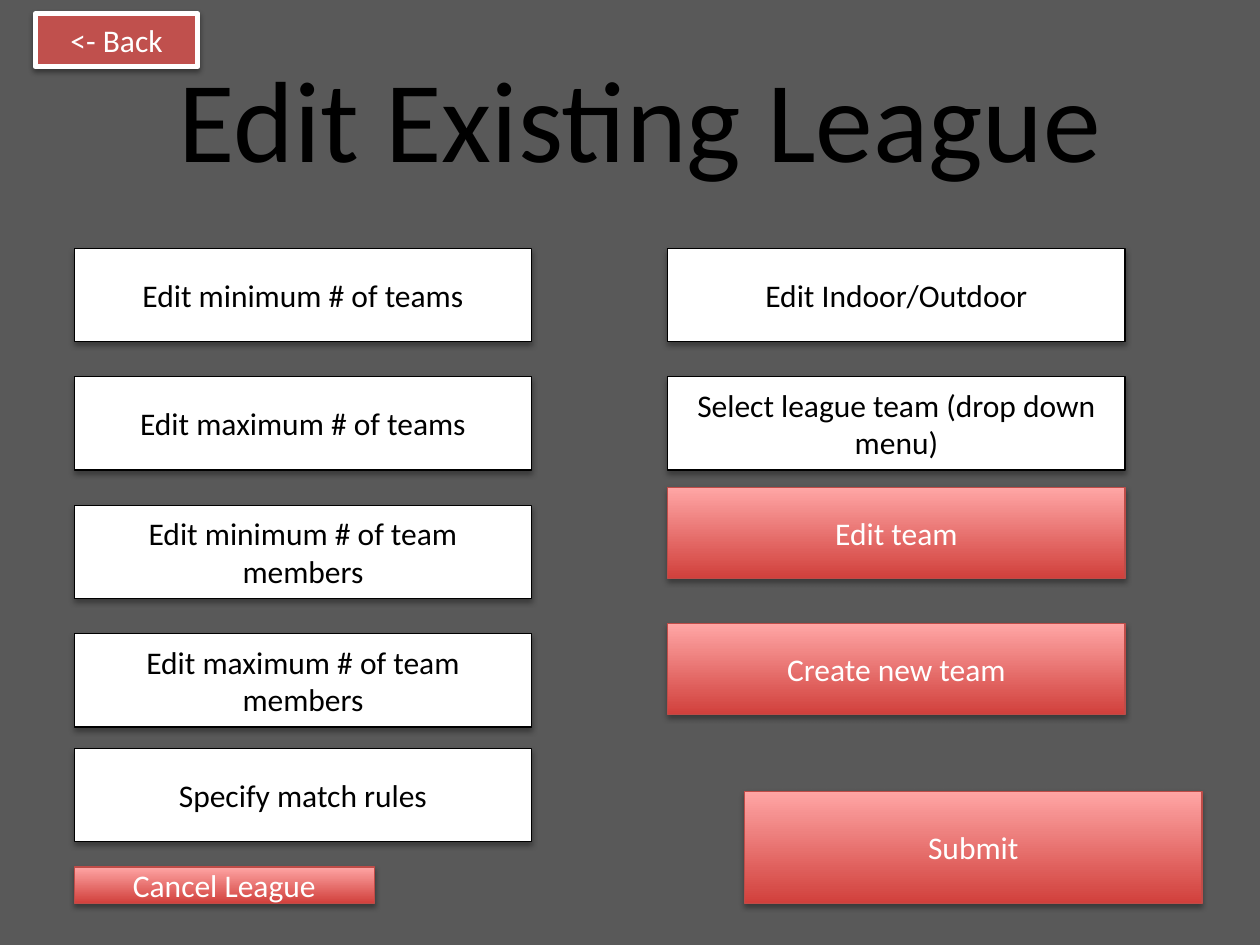
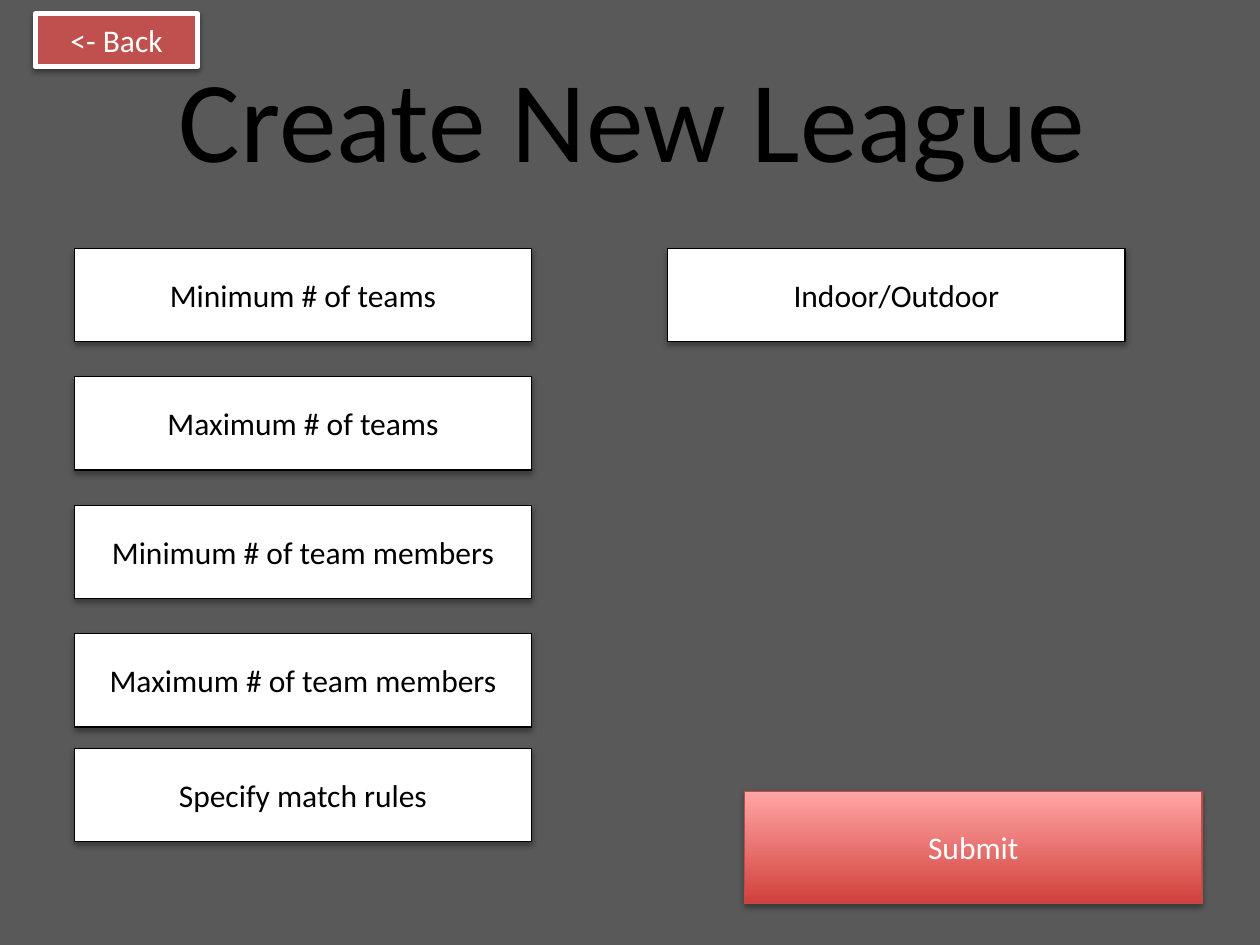
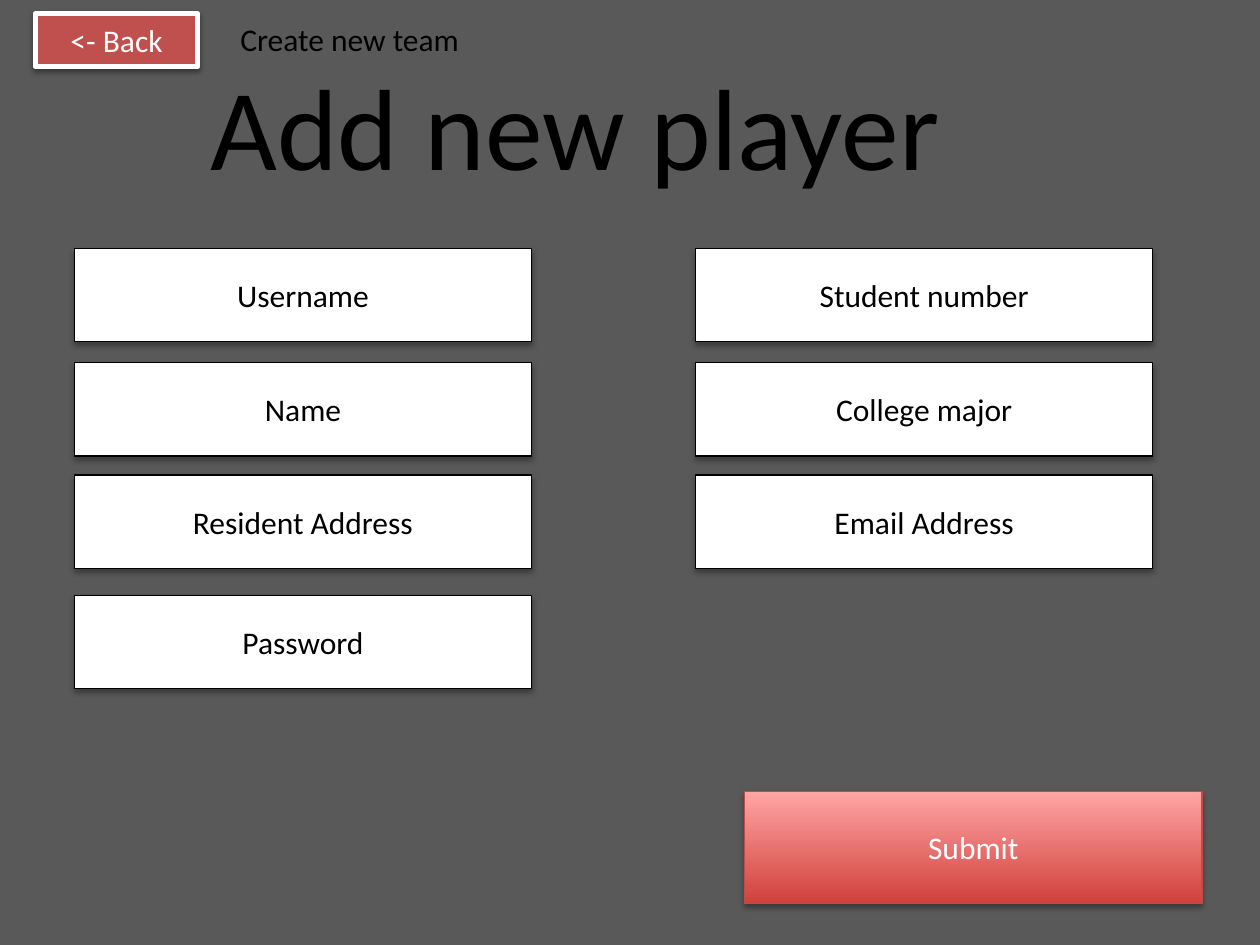
from lxml import etree
from pptx import Presentation, util as u
from pptx.dml.color import RGBColor
from pptx.enum import shapes, text
from pptx.oxml.ns import qn

GREY = RGBColor(0x59, 0x59, 0x59)
WHITE = RGBColor(0xFF, 0xFF, 0xFF)
BLACK = RGBColor(0x00, 0x00, 0x00)
BRICK = RGBColor(0xC0, 0x50, 0x4D)
RED_EDGE = RGBColor(0xBF, 0x4C, 0x48)
RED_DARK = RGBColor(0xD1, 0x40, 0x3C)
RED_LIGHT = RGBColor(0xFF, 0xA6, 0xA5)

# The slide is a grid of square cells: 10 columns by 7.5 rows.
COLS, ROWS = 10, 7.5
CELL = u.Inches(1)
LEFT, RIGHT, FAR_RIGHT = 0.59, 5.3, 5.52
FIELD_TOP, FIELD_W, FIELD_H = 1.97, 3.63, 0.74
BUTTON_H = 0.72


class Screen:
    """Holds the style and the slide being drawn."""

    font = "Calibri"
    title_size, body_size = u.Pt(66), u.Pt(18)

    def __init__(self):
        """Start the deck with its size and shared background."""
        self.prs = Presentation()
        self.prs.slide_width = int(COLS * CELL)
        self.prs.slide_height = int(ROWS * CELL)
        fill = self.prs.slide_master.background.fill
        fill.solid()
        fill.fore_color.rgb = GREY
        self.s = None

    def cells(self, *lengths):
        """Turn grid lengths into slide lengths."""
        return [int(n * CELL) for n in lengths]

    def set_text(self, sp, words, size, color, align):
        """Put one formatted paragraph in a shape."""
        tf = sp.text_frame
        tf.text = words
        p = tf.paragraphs[0]
        p.alignment = align
        p.font.name, p.font.size, p.font.color.rgb = self.font, size, color
        return tf

    def start(self, title, x=1.32, y=0.32, w=7.61):
        """Add a slide with its title and the two buttons all screens have."""
        self.s = self.prs.slides.add_slide(self.prs.slide_layouts[5])
        sp = self.s.shapes.title
        sp.left, sp.top, sp.width, sp.height = self.cells(x, y, w, 1.21)
        tf = self.set_text(sp, title, self.title_size, BLACK, text.PP_ALIGN.LEFT)
        tf.vertical_anchor = text.MSO_ANCHOR.TOP
        tf.word_wrap = True
        tf.auto_size = text.MSO_AUTO_SIZE.SHAPE_TO_FIT_TEXT
        self.button("Submit", 5.91, 6.28, h=0.89)
        self.back()

    def box(self, words, x, y, w, h, color, edge, weight=0.75, drop=1.8, alpha=35):
        """Add a shadowed rectangle with centred text."""
        sp = self.s.shapes.add_shape(shapes.MSO_SHAPE.RECTANGLE, *self.cells(x, y, w, h))
        sp.line.color.rgb, sp.line.width = edge, u.Pt(weight)
        tf = self.set_text(sp, words, self.body_size, color, text.PP_ALIGN.CENTER)
        tf.word_wrap = True
        tf.vertical_anchor = text.MSO_ANCHOR.MIDDLE
        self.shade(sp, drop, alpha)
        return sp

    def shade(self, sp, drop, alpha):
        """Give a shape a soft black shadow straight below it."""
        sp.shadow.inherit = False
        effects = sp._element.spPr.find(qn("a:effectLst"))
        shadow = etree.SubElement(
            effects, qn("a:outerShdw"), blurRad=str(int(u.Pt(3.1))),
            dist=str(int(u.Pt(drop))), dir="5400000", rotWithShape="0")
        black = etree.SubElement(shadow, qn("a:srgbClr"), val=str(BLACK))
        etree.SubElement(black, qn("a:alpha"), val=str(alpha * 1000))

    def field(self, words, x, y):
        """Add a white entry field."""
        sp = self.box(words, x, y, FIELD_W, FIELD_H, BLACK, BLACK)
        sp.fill.solid()
        sp.fill.fore_color.rgb = WHITE

    def fields(self, x, pitch, entries):
        """Stack fields, each given as its row number and words."""
        for row, words in entries:
            self.field(words, x, FIELD_TOP + row * pitch)

    def button(self, words, x, y, w=FIELD_W, h=BUTTON_H):
        """Add a red button that lightens towards the top."""
        sp = self.box(words, x, y, w, h, WHITE, RED_EDGE)
        sp.fill.gradient()
        sp.fill.gradient_angle = 90
        for stop, color in zip(sp.fill.gradient_stops, (RED_DARK, RED_LIGHT)):
            stop.color.rgb = color

    def back(self):
        """Add the back button in the top left corner."""
        sp = self.box("<- Back", 0.28, 0.11, 1.29, 0.42, WHITE, WHITE, 3, 1.6, 38)
        sp.fill.solid()
        sp.fill.fore_color.rgb = BRICK

    def label(self, words, x, y, w, h):
        """Add a one-line plain label."""
        sp = self.s.shapes.add_textbox(*self.cells(x, y, w, h))
        tf = self.set_text(sp, words, self.body_size, BLACK, text.PP_ALIGN.LEFT)
        tf.word_wrap = False
        tf.auto_size = text.MSO_AUTO_SIZE.SHAPE_TO_FIT_TEXT


def league_fields(d, names, setting):
    """Add the fields that both league screens share."""
    d.fields(LEFT, 1.02, enumerate(names))
    d.field("Specify match rules", LEFT, 5.94)
    d.field(setting, RIGHT, FIELD_TOP)


def edit_league(d):
    """Draw the screen for changing a league."""
    d.start("Edit Existing League")
    league_fields(d, [f"Edit {limit} # of {what}" for what in ("teams", "team members")
                      for limit in ("minimum", "maximum")], "Edit Indoor/Outdoor")
    d.fields(RIGHT, 1.02, [(1, "Select league team (drop down menu)")])
    d.button("Edit team", RIGHT, 3.87)
    d.button("Create new team", RIGHT, 4.95)
    d.button("Cancel League", LEFT, 6.88, 2.38, 0.29)


def create_league(d):
    """Draw the screen for a new league."""
    d.start("Create New League")
    league_fields(d, [f"{limit} # of {what}" for what in ("teams", "team members")
                      for limit in ("Minimum", "Maximum")], "Indoor/Outdoor")


def add_player(d):
    """Draw the screen for a new player."""
    d.start("Add new player", 1.57, 0.39, 7.58)
    d.fields(LEFT, 0.9, [(0, "Username"), (1.01, "Name"),
                         (2, "Resident Address"), (3.06, "Password")])
    d.fields(FAR_RIGHT, 0.9, [(0, "Student number"), (1.01, "College major"),
                              (2, "Email Address")])
    d.label("Create new team", 1.81, 0.11, 1.97, 0.4)


def main():
    """Build the three screens and save them."""
    d = Screen()
    for draw in (edit_league, create_league, add_player):
        draw(d)
    d.prs.save("out.pptx")


main()
